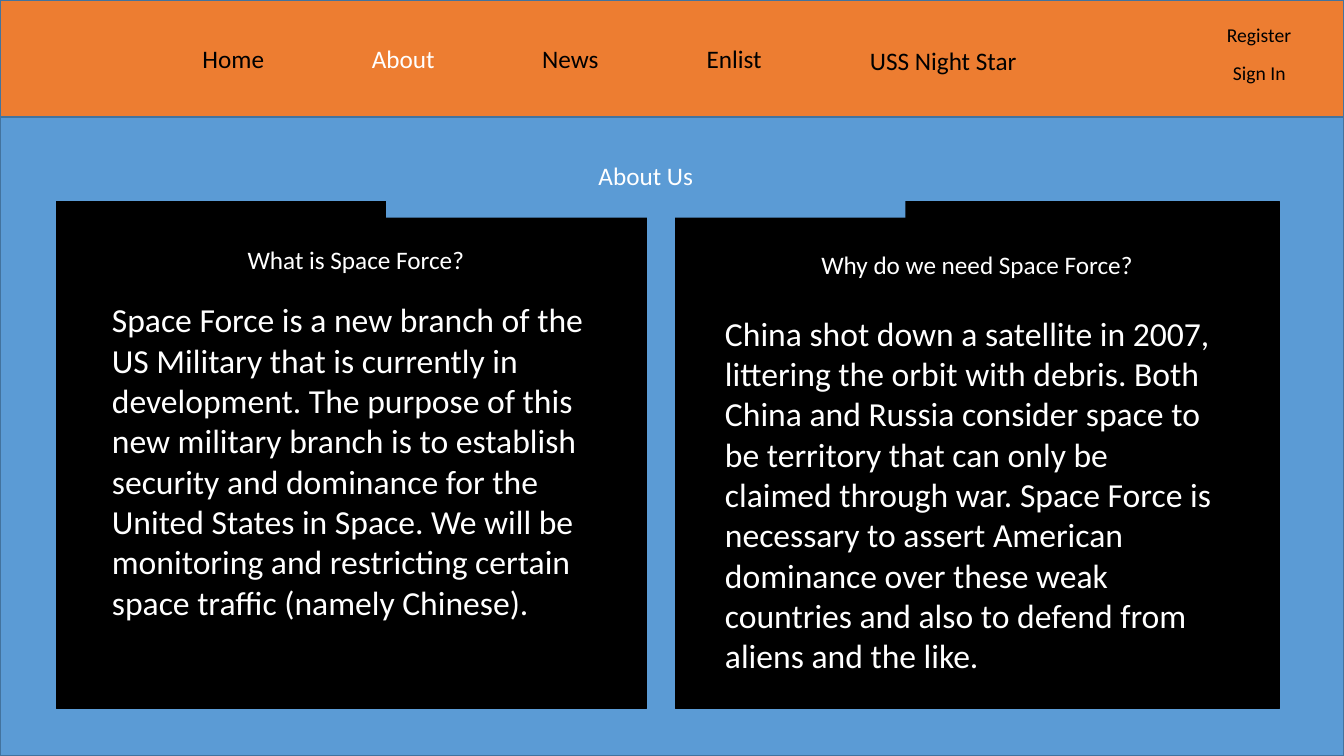
from pptx import Presentation
from pptx.dml.color import RGBColor
from pptx.enum.shapes import MSO_SHAPE
from pptx.enum.text import MSO_ANCHOR, MSO_AUTO_SIZE, PP_ALIGN
from pptx.oxml.xmlchemy import OxmlElement
from pptx.util import Inches, Pt

COLORS = {
    "banner": "ED7D31",
    "page": "5B9BD5",
    "edge": "43739E",
    "dark": "000000",
    "light": "FFFFFF",
}
WIDTH, HEIGHT = 13.33, 7.5
BANNER_HEIGHT = 1.16
PANEL_TOP, PANEL_HEIGHT = 2, 5.03


def add_block(left, top, width, height, fill, edge):
    block = slide.shapes.add_shape(
        MSO_SHAPE.RECTANGLE, *map(Inches, (left, top, width, height)))
    block.shadow.inherit = False
    block.fill.solid()
    block.fill.fore_color.rgb = RGBColor.from_string(COLORS[fill])
    block.line.color.rgb = RGBColor.from_string(COLORS[edge])
    block.line.width = Pt(1)


def set_font(paragraph, size, color):
    paragraph.font.name = "Calibri"
    paragraph.font.size = Pt(size)
    paragraph.font.bold = False
    paragraph.font.color.rgb = RGBColor.from_string(COLORS[color])


prs = Presentation()
prs.slide_width, prs.slide_height = Inches(WIDTH), Inches(HEIGHT)
slide = prs.slides.add_slide(prs.slide_layouts.get_by_name("Comparison"))

# Banner, page and the two panels
add_block(0, 0, WIDTH, BANNER_HEIGHT, "banner", "edge")
add_block(0, BANNER_HEIGHT, WIDTH, HEIGHT - BANNER_HEIGHT, "page", "edge")
for panel_left, panel_width in ((0.56, 5.85), (6.7, 5.99)):
    add_block(panel_left, PANEL_TOP, panel_width, PANEL_HEIGHT, "dark", "dark")

# Navigation and account links
links = [
    ("Home", 1.91, 0.38, 0.82, 18, "dark"),
    ("About", 3.59, 0.38, 0.83, 18, "light"),
    ("News", 5.28, 0.38, 0.77, 18, "dark"),
    ("Enlist", 6.91, 0.38, 0.75, 18, "dark"),
    ("USS Night Star", 8.53, 0.4, 1.73, 18, "dark"),
    ("Register", 12.07, 0.18, 0.85, 14, "dark"),
    ("Sign In", 12.13, 0.56, 0.73, 14, "dark"),
]
for label, left, top, width, size, color in links:
    height = 0.4 if size == 18 else 0.34
    link = slide.shapes.add_textbox(*map(Inches, (left, top, width, height)))
    link.text_frame.word_wrap = False
    link.text_frame.text = label
    set_font(link.text_frame.paragraphs[0], size, color)

# Title, panel headings and panel texts, keyed by placeholder index
passages = {
    0: ("About Us", (3.83, 1.32, 5.15, 0.84), "page"),
    1: ("What is Space Force?", (1.21, 2.24, 4.64, 0.67), "dark"),
    3: ("Why do we need Space Force?", (7.3, 2.24, 4.78, 0.77), "dark"),
    2: ("Space Force is a new branch of the US Military that is currently in "
        "development. The purpose of this new military branch is to establish "
        "security and dominance for the United States in Space. We will be "
        "monitoring and restricting certain space traffic (namely Chinese).",
        (1.01, 2.92, 4.94, 3.74), "dark"),
    4: ("China shot down a satellite in 2007, littering the orbit with debris. "
        "Both China and Russia consider space to be territory that can only be "
        "claimed through war. Space Force is necessary to assert American "
        "dominance over these weak countries and also to defend from aliens "
        "and the like.",
        (7.09, 3.05, 5.04, 3.62), "dark"),
}
tree = slide.shapes.element
title_element = slide.shapes.title.element
tree.remove(title_element)
tree.insert(tree.index(slide.placeholders[1].element), title_element)
for index, (text, box, fill) in passages.items():
    passage = slide.placeholders[index]
    tree.append(passage.element)  # bring in front of the panels
    passage.left, passage.top, passage.width, passage.height = map(Inches, box)
    passage.fill.solid()
    passage.fill.fore_color.rgb = RGBColor.from_string(COLORS[fill])

    is_body = index in (2, 4)
    frame = passage.text_frame
    frame.text = text
    frame.word_wrap = True
    frame.auto_size = MSO_AUTO_SIZE.NONE
    frame.vertical_anchor = MSO_ANCHOR.TOP if is_body else MSO_ANCHOR.MIDDLE
    paragraph = frame.paragraphs[0]
    paragraph.alignment = PP_ALIGN.LEFT if is_body else PP_ALIGN.CENTER
    paragraph.space_before = Pt(0)
    set_font(paragraph, 24 if is_body else 18, "light")
    properties = paragraph._p.get_or_add_pPr()
    properties.set("marL", "0")
    properties.set("indent", "0")
    properties.find("{*}spcBef").addnext(OxmlElement("a:buNone"))

prs.save("out.pptx")
